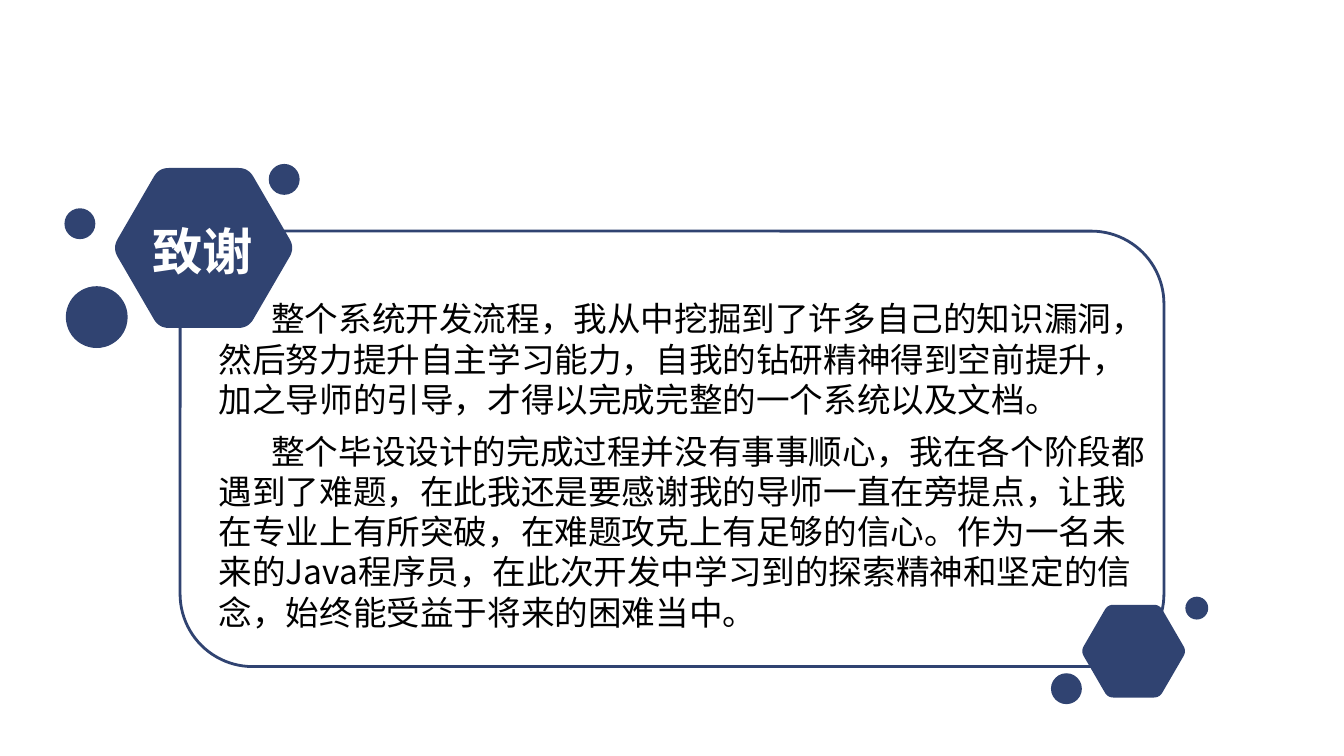
"""Build the acknowledgements slide: framed text with hexagon and dot ornaments."""
from dataclasses import dataclass

from lxml import etree
from pptx import Presentation
from pptx import util as u
from pptx.dml.color import RGBColor
from pptx.enum import shapes, text
from pptx.oxml.ns import qn

PX = 9144
PAGE_WIDTH = 1000


@dataclass(frozen=True)
class Theme:
    navy: RGBColor = RGBColor(0x30, 0x43, 0x71)
    white: RGBColor = RGBColor(0xFF, 0xFF, 0xFF)
    black: RGBColor = RGBColor(0, 0, 0)
    title_font: str = "Arial Narrow"
    body_font: str = "Noto Sans CJK SC"
    title_size: float = 27
    body_size: float = 18
    body_leading: float = 21.6
    line_width: float = 1.5


@dataclass(frozen=True)
class Area:
    left: int
    top: int
    width: int
    height: int

    def emu(self) -> list[int]:
        return [u.Emu(side * PX) for side in (self.left, self.top, self.width, self.height)]


@dataclass(frozen=True)
class Dot:
    left: int
    top: int
    size: int


THEME = Theme()
FRAME = Area(134, 172, 732, 324)
TITLE = Area(103, 158, 96, 56)
BODY = Area(153, 217, 710, 292)
HEXAGONS = [Area(805, 450, 77, 69), Area(85, 125, 133, 119)]
DOTS = [Dot(49, 213, 46), Dot(48, 155, 23), Dot(200, 122, 23), Dot(782, 501, 23), Dot(882, 444, 17)]
CORNERS = [(-0.01, 0.5), (0.25, 0), (0.75, 0), (1.01, 0.5), (0.75, 1), (0.25, 1)]
ROUNDING = 0.11
CURVE_STEPS = 8
PARAGRAPHS = [
    "整个系统开发流程，我从中挖掘到了许多自己的知识漏洞，然后努力提升自主学习能力，"
    "自我的钻研精神得到空前提升，加之导师的引导，才得以完成完整的一个系统以及文档。",
    "整个毕设设计的完成过程并没有事事顺心，我在各个阶段都遇到了难题，"
    "在此我还是要感谢我的导师一直在旁提点，让我在专业上有所突破，在难题攻克上有足够的信心。"
    "作为一名未来的Java程序员，在此次开发中学习到的探索精神和坚定的信念，"
    "始终能受益于将来的困难当中。",
]


def paint(shape) -> None:
    """Fill a shape in navy without outline or shadow."""
    shape.shadow.inherit = False
    shape.fill.solid()
    shape.fill.fore_color.rgb = THEME.navy
    shape.line.fill.background()


def add_frame(slide, area: Area) -> None:
    """Draw the rounded outline around the text."""
    frame = slide.shapes.add_shape(shapes.MSO_SHAPE.ROUNDED_RECTANGLE, *area.emu())
    frame.shadow.inherit = False
    frame.fill.background()
    frame.line.color.rgb = THEME.navy
    frame.line.width = u.Pt(THEME.line_width)


def add_dot(slide, dot: Dot) -> None:
    """Draw one round ornament."""
    area = Area(dot.left, dot.top, dot.size, dot.size)
    paint(slide.shapes.add_shape(shapes.MSO_SHAPE.OVAL, *area.emu()))


def between(start: tuple, end: tuple, share: float) -> tuple[float, float]:
    """Return the point at a given share of the way from start to end."""
    return tuple(a + (b - a) * share for a, b in zip(start, end))


def add_hexagon(slide, area: Area) -> None:
    """Draw a hexagon whose corners are rounded by quadratic curves."""
    left, top, width, height = area.emu()
    points = []
    for index, corner in enumerate(CORNERS):
        entry = between(corner, CORNERS[index - 1], ROUNDING)
        leave = between(corner, CORNERS[(index + 1) % len(CORNERS)], ROUNDING)
        for step in range(CURVE_STEPS + 1):
            share = step / CURVE_STEPS
            x, y = between(between(entry, corner, share), between(corner, leave, share), share)
            points.append((round(left + x * width), round(top + y * height)))
    builder = slide.shapes.build_freeform(*points[0])
    builder.add_line_segments(points[1:], close=True)
    paint(builder.convert_to_shape())


def write(para, content: str, *, font: str, size: float, color: RGBColor, bold: bool = False,
          align=text.PP_ALIGN.LEFT, after: float = 0, leading: float | None = None, indent: int = 0) -> None:
    """Write one formatted run into a paragraph."""
    para.alignment = align
    para.space_before = u.Pt(0)
    para.space_after = u.Pt(after)
    para.line_spacing = u.Pt(leading) if leading else 1.0
    properties = para._p.get_or_add_pPr()
    properties.set("marL", "0")
    properties.set("indent", str(indent * PX))
    span = para.add_run()
    span.text = content
    span.font.name = font
    span.font.size = u.Pt(size)
    span.font.bold = bold
    span.font.color.rgb = color
    etree.SubElement(span._r.get_or_add_rPr(), qn("a:ea"), typeface=THEME.body_font)


def add_title(slide, area: Area) -> None:
    """Place the title on top of the large hexagon."""
    title = slide.shapes.title
    slide.shapes._spTree.append(title._element)
    title.left, title.top, title.width, title.height = area.emu()
    title.fill.solid()
    title.fill.fore_color.rgb = THEME.navy
    frame = title.text_frame
    frame.margin_left = frame.margin_right = frame.margin_top = frame.margin_bottom = 0
    frame.vertical_anchor = text.MSO_ANCHOR.MIDDLE
    frame.auto_size = text.MSO_AUTO_SIZE.NONE
    write(frame.paragraphs[0], "致谢", font=THEME.title_font, size=THEME.title_size,
          color=THEME.white, bold=True, align=text.PP_ALIGN.CENTER)


def add_body(slide, area: Area) -> None:
    """Place the indented paragraphs inside the frame."""
    box = slide.shapes.add_textbox(*area.emu())
    frame = box.text_frame
    frame.word_wrap = True
    for index, content in enumerate(PARAGRAPHS):
        para = frame.add_paragraph() if index else frame.paragraphs[0]
        write(para, content, font=THEME.body_font, size=THEME.body_size, color=THEME.black,
              after=6, leading=THEME.body_leading, indent=39)


def main() -> None:
    """Build and save the deck."""
    deck = Presentation()
    deck.slide_width = u.Emu(PAGE_WIDTH * PX)
    deck.slide_height = u.Emu(PAGE_WIDTH * PX * 9 // 16)
    page = deck.slides.add_slide(deck.slide_layouts[5])
    add_frame(page, FRAME)
    for dot in DOTS:
        add_dot(page, dot)
    for hexagon in HEXAGONS:
        add_hexagon(page, hexagon)
    add_title(page, TITLE)
    add_body(page, BODY)
    deck.save("out.pptx")


if __name__ == "__main__":
    main()
